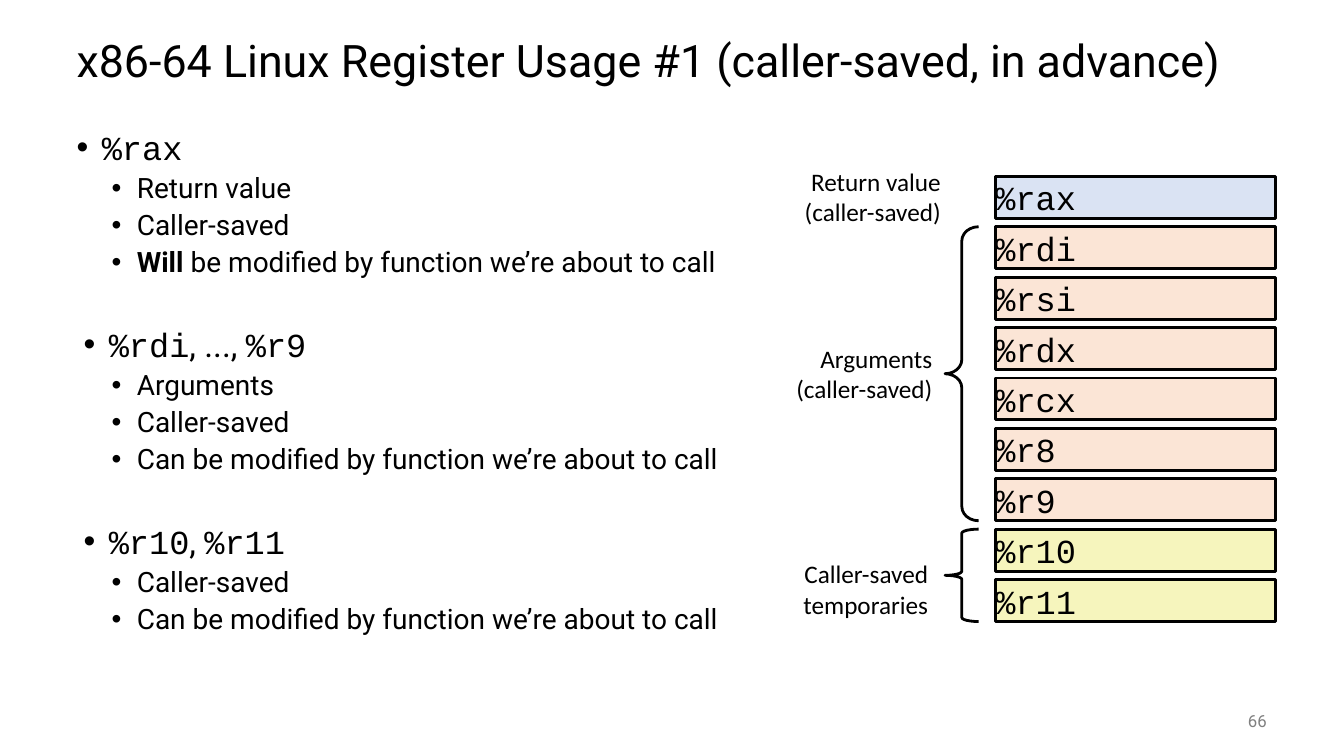
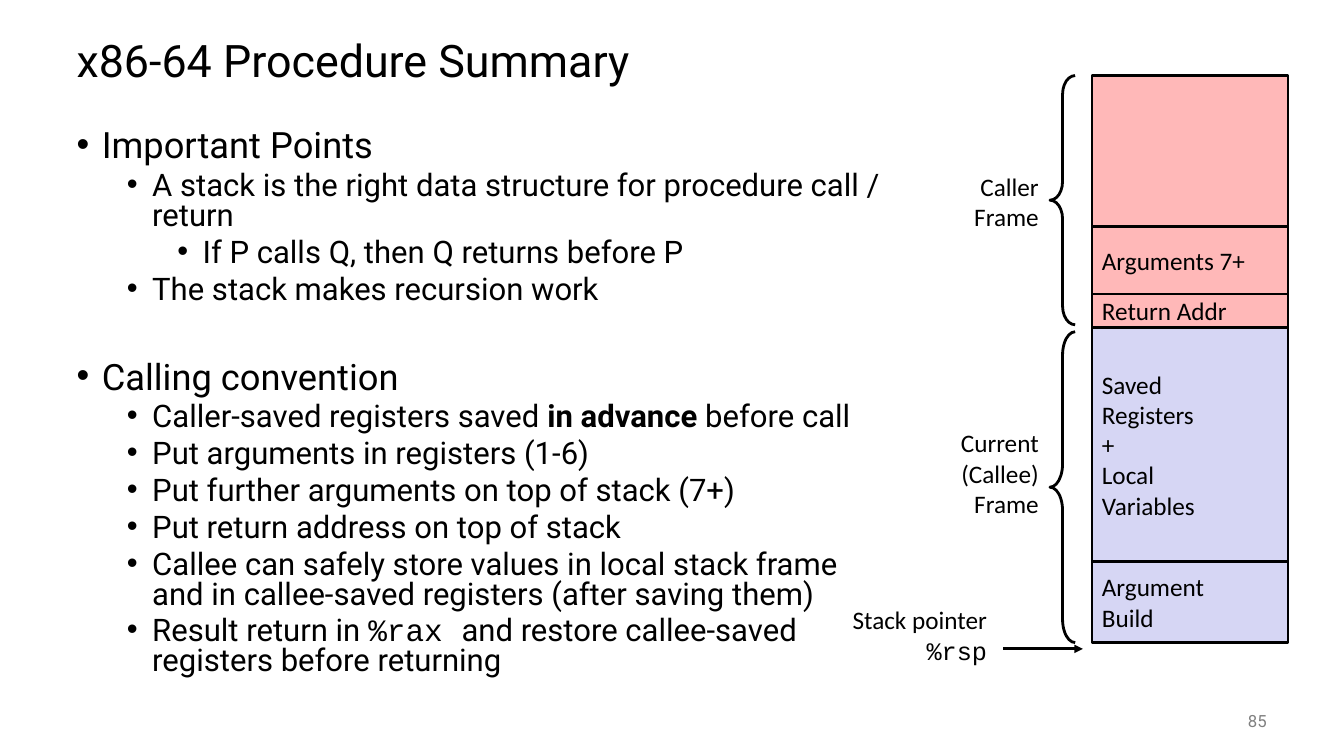
from lxml import etree
from pptx import Presentation
from pptx.dml.color import RGBColor
from pptx.enum.shapes import MSO_CONNECTOR, MSO_SHAPE
from pptx.enum.text import MSO_ANCHOR, MSO_AUTO_SIZE, PP_ALIGN
from pptx.oxml.ns import qn
from pptx.util import Pt

RECT, BRACE = MSO_SHAPE.RECTANGLE, MSO_SHAPE.LEFT_BRACE
LINE = MSO_CONNECTOR.STRAIGHT
LEFT, RIGHT = PP_ALIGN.LEFT, PP_ALIGN.RIGHT
TOP, MIDDLE = MSO_ANCHOR.TOP, MSO_ANCHOR.MIDDLE

BLACK, GREY = "000000", "808080"
BLUE, PEACH, YELLOW = "DAE3F3", "FBE5D6", "F6F5BD"
PINK, LILAC = "FFB8B8", "D6D6F4"
SANS, LABEL, MONO = "Roboto", "Calibri", "Courier New"
STROKE = 2
TITLE = (47.5, 18, 864, 54)
NUMBER = (840, 500, 72, 29)


def paint(color):
    return RGBColor.from_string(color)


def place(shape, box):
    shape.left, shape.top, shape.width, shape.height = map(Pt, box)


def code(text):
    return text, {"font": MONO}


def bold(text):
    return text, {"bold": True}


def write(par, runs, size=18, font=LABEL, color=BLACK, align=LEFT, line=None, before=0):
    """Fill a paragraph with runs: plain strings or (text, changes) pairs."""
    par.alignment = align
    par.space_before = Pt(before)
    if line:
        par.line_spacing = line
    for item in [runs] if isinstance(runs, str) else runs:
        text, extra = (item, {}) if isinstance(item, str) else item
        for pos, part in enumerate(text.split("\n")):
            if pos:
                par.add_line_break()
            run = par.add_run()
            run.text = part
            run.font.size = Pt(size)
            run.font.name = extra.get("font", font)
            run.font.bold = extra.get("bold", False)
            run.font.color.rgb = paint(color)


def fill(frame, lines, inset=(0, 0), anchor=MIDDLE, **style):
    """Write one paragraph for each line."""
    frame.word_wrap = True
    frame.auto_size = MSO_AUTO_SIZE.NONE
    frame.vertical_anchor = anchor
    frame.margin_left = frame.margin_right = Pt(inset[0])
    frame.margin_top = frame.margin_bottom = Pt(inset[1])
    for pos, line in enumerate(lines):
        write(frame.add_paragraph() if pos else frame.paragraphs[0], line, **style)


def start(deck, title, number):
    """Add a slide with its title and page number."""
    slide = deck.slides.add_slide(deck.slide_layouts[1])
    place(slide.shapes.title, TITLE)
    fill(slide.shapes.title.text_frame, [title], inset=(7.2, 3.6),
         size=32, font=SANS, line=0.9)
    note = slide.shapes.add_textbox(*map(Pt, NUMBER))
    fill(note.text_frame, [str(number)], inset=(7.2, 3.6),
         size=12, font=SANS, color=GREY, align=RIGHT)
    return slide


def bullets(slide, box, items, sizes, line, gap):
    """List (level, margin, runs) items; gap goes above each later heading."""
    body = slide.placeholders[1]
    place(body, box)
    frame = body.text_frame
    frame.auto_size = MSO_AUTO_SIZE.NONE
    for pos, (level, margin, runs) in enumerate(items):
        par = frame.add_paragraph() if pos else frame.paragraphs[0]
        par.level = level
        props = par._p.get_or_add_pPr()
        props.set("marL", str(Pt(margin)))
        props.set("indent", str(Pt(-18)))
        etree.SubElement(props, qn("a:buFont")).set("typeface", "Arial")
        etree.SubElement(props, qn("a:buChar")).set("char", "•")
        before = 5 if level else gap if pos else 0
        write(par, runs, size=sizes[min(level, 1)], font=SANS, line=line, before=before)


def cell(slide, box, color, lines, inset=0, **style):
    shape = slide.shapes.add_shape(RECT, *map(Pt, box))
    shape.shadow.inherit = False
    shape.fill.solid()
    shape.fill.fore_color.rgb = paint(color)
    shape.line.color.rgb = paint(BLACK)
    shape.line.width = Pt(STROKE)
    fill(shape.text_frame, lines, inset=(inset, 0), **style)


def brace(slide, box, curve):
    shape = slide.shapes.add_shape(BRACE, *map(Pt, box))
    shape.shadow.inherit = False
    shape.fill.background()
    shape.line.color.rgb = paint(BLACK)
    shape.line.width = Pt(STROKE)
    shape.adjustments[0] = curve


def label(slide, right, top, lines):
    """Right-aligned text that ends at the given right edge."""
    wide, high = 118, 21.6 * len(lines) + 6
    box = slide.shapes.add_textbox(*map(Pt, (right - wide, top, wide, high)))
    fill(box.text_frame, lines, inset=(3, 3), anchor=TOP, align=RIGHT)


def arrow(slide, left, right, y):
    link = slide.shapes.add_connector(LINE, Pt(left), Pt(y), Pt(right), Pt(y))
    link.line.color.rgb = paint(BLACK)
    link.line.width = Pt(STROKE)
    etree.SubElement(link.line._get_or_add_ln(), qn("a:tailEnd")).set("type", "triangle")
    etree.SubElement(link._element.spPr, qn("a:effectLst"))


def bank(slide, left, top):
    """Column of registers in three groups, with braces and labels."""
    step, high = 36, 30
    groups = [
        (BLUE, ["%rax"], None, (-36, -10), ["Return value", "(caller-saved)"]),
        (PEACH, ["%rdi", "%rsi", "%rdx", "%rcx", "%r8", "%r9"], 0.42,
         (-42, 80), ["Arguments", "(caller-saved)"]),
        (YELLOW, ["%r10", "%r11"], 0.12, (-45, 18), ["Caller-saved", "temporaries"]),
    ]
    y = top
    for color, names, curve, (dx, dy), text in groups:
        for pos, name in enumerate(names):
            cell(slide, (left, y + pos * step, 200, high), color, [name], size=24, font=MONO)
        if curve:
            brace(slide, (left - 36, y, 24, (len(names) - 1) * step + high), curve)
        label(slide, left + dx, y + dy, text)
        y += len(names) * step


def stack(slide, left, top):
    """Stack frames with braces, labels and the stack pointer."""
    parts = [
        (108, PINK, []),
        (48, PINK, ["Arguments 7+"]),
        (24, PINK, ["Return Addr"]),
        (167, LILAC, ["Saved", "Registers", "+", "Local", "Variables"]),
        (58, LILAC, ["Argument", "Build"]),
    ]
    y = top
    for high, color, lines in parts:
        cell(slide, (left, y, 140, high), color, lines, inset=7.2)
        y += high
    frames = [
        (0, 178, 0.74, 65.5, ["Caller", "Frame"]),
        (183, 222, 0.92, 248.5, ["Current", "(Callee)", "Frame"]),
    ]
    for dy, high, curve, drop, lines in frames:
        brace(slide, (left - 30, top + dy, 18, high), curve)
        label(slide, left - 35, top + drop, lines)
    label(slide, left - 72, y - 30, ["Stack pointer", [code("%rsp")]])
    arrow(slide, left - 63.5, left - 6.5, y + 4.5)


def usage(deck):
    slide = start(deck, "x86-64 Linux Register Usage #1 (caller-saved, in advance)", 66)
    change = "Can be modified by function we’re about to call"
    items = [
        (0, 18, [code("%rax")]),
        (1, 43, "Return value"),
        (1, 43, "Caller-saved"),
        (1, 43, [bold("Will"), " be modified by function we’re about to call"]),
        (0, 23, [code("%rdi"), ", ..., ", code("%r9")]),
        (1, 43, "Arguments"),
        (1, 43, "Caller-saved"),
        (1, 43, change),
        (0, 23, [code("%r10"), ", ", code("%r11")]),
        (1, 43, "Caller-saved"),
        (1, 43, change),
    ]
    bullets(slide, (47.5, 90, 864, 396), items, sizes=(24, 20), line=0.9, gap=35)
    bank(slide, 711, 126)


def summary(deck):
    slide = start(deck, "x86-64 Procedure Summary", 85)
    items = [
        (0, 18, "Important Points"),
        (1, 54, "A stack is the right data structure for procedure call / return"),
        (2, 90, "If P calls Q, then Q returns before P"),
        (1, 54, "The stack makes recursion work"),
        (0, 18, "Calling convention"),
        (1, 54, ["Caller-saved registers saved ", bold("in advance "), "before call"]),
        (1, 54, "Put arguments in registers (1-6)"),
        (1, 54, "Put further arguments on top of stack (7+)"),
        (1, 54, "Put return address on top of stack"),
        (1, 54, "Callee can safely store values in local stack frame\n"
                "and in callee-saved registers (after saving them)"),
        (1, 54, ["Result return in ", code("%rax "),
                 "and restore callee-saved registers before returning"]),
    ]
    bullets(slide, (47.5, 90, 602, 396), items, sizes=(25.9, 22.2), line=0.8, gap=40)
    stack(slide, 780, 54)


def main():
    deck = Presentation()
    deck.slide_width, deck.slide_height = Pt(960), Pt(540)
    usage(deck)
    summary(deck)
    deck.save("out.pptx")


if __name__ == "__main__":
    main()
